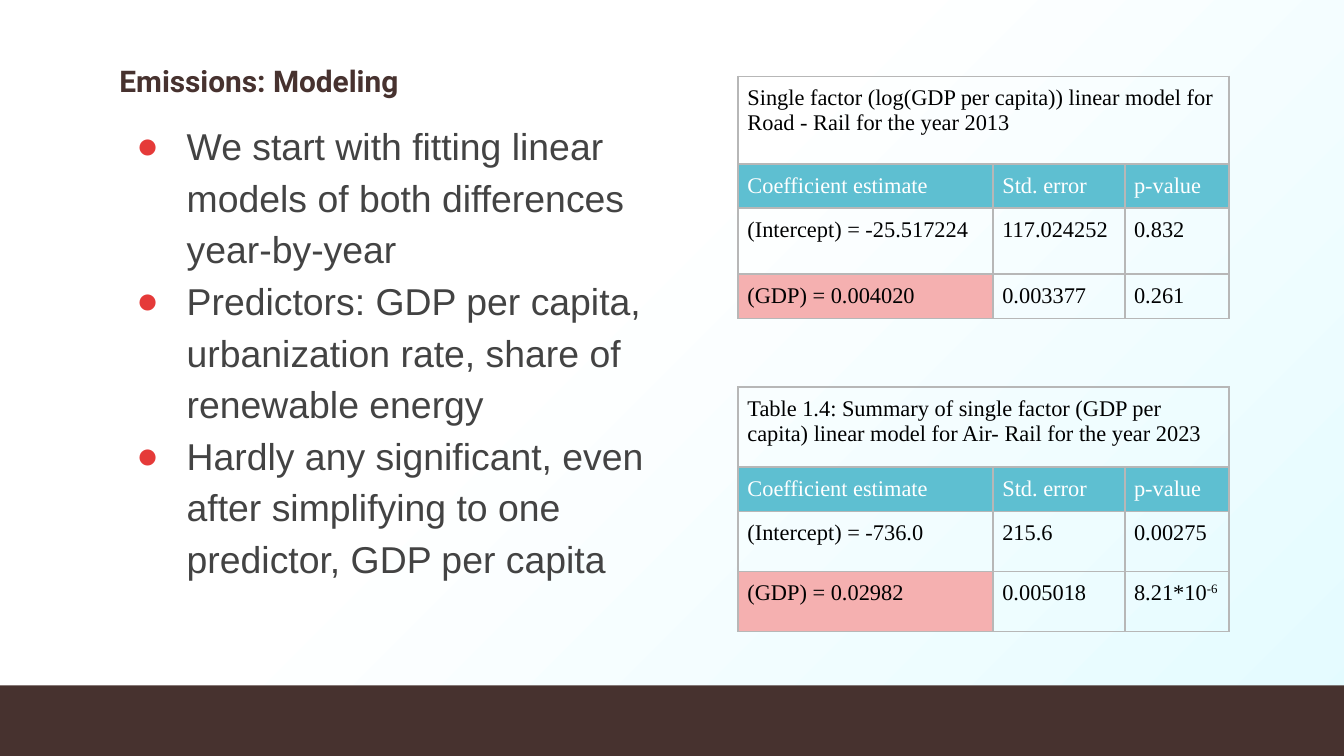
from copy import deepcopy

from lxml.etree import SubElement
from pptx import Presentation
from pptx.dml.color import RGBColor
from pptx.enum.shapes import MSO_SHAPE
from pptx.enum.text import MSO_ANCHOR, MSO_AUTO_SIZE, PP_ALIGN
from pptx.oxml.ns import qn
from pptx.util import Pt

TITLE = "Emissions: Modeling"
BULLETS = [
    "We start with fitting linear models of both differences year-by-year",
    "Predictors: GDP per capita, urbanization rate, share of renewable energy",
    "Hardly any significant, even after simplifying to one predictor, GDP per capita",
]
HEADER = ("Coefficient estimate", "Std. error", "p-value")
MODELS = [
    {
        "top": 41,
        "heights": (46.8, 23.8, 35.2, 23.8),
        "caption": "Single factor (log(GDP per capita)) linear model for Road - Rail for the year 2013",
        "rows": [("(Intercept) = -25.517224", "117.024252", "0.832"),
                 ("(GDP) = 0.004020", "0.003377", "0.261")],
    },
    {
        "top": 207.4,
        "heights": (42.8, 23.8, 32.2, 32.2),
        "caption": "Table 1.4: Summary of single factor (GDP per capita) linear model for Air- Rail for the year 2023",
        "rows": [("(Intercept) = -736.0", "215.6", "0.00275"),
                 ("(GDP) = 0.02982", "0.005018", ("8.21*10", "-6"))],
    },
]
TABLE_LEFT = 395.4
COLUMNS = (136.6, 70.6, 56)
DARK, RED, TEAL, PINK, GREY = "47322F", "E53A39", "5EBFD1", "F5B0B0", "B7B7B7"


def color(value):
    return RGBColor.from_string(value)


def add_text(p, text, font="Times New Roman", size=12, fill="000000", bold=False, baseline=None):
    r = p.add_run()
    r.text = text
    r.font.name = font
    r.font.size = Pt(size)
    r.font.bold = bold
    r.font.color.rgb = color(fill)
    if baseline:
        r._r.get_or_add_rPr().set("baseline", str(baseline * 1000))


def place(sp, left, top, width, height):
    sp.left, sp.top, sp.width, sp.height = Pt(left), Pt(top), Pt(width), Pt(height)
    tf = sp.text_frame
    tf.word_wrap = True
    tf.auto_size = MSO_AUTO_SIZE.NONE
    tf.vertical_anchor = MSO_ANCHOR.TOP
    tf.margin_left = tf.margin_right = tf.margin_top = tf.margin_bottom = Pt(7.2)
    return tf


def add_bullet(p):
    pPr = p._p.get_or_add_pPr()
    pPr.set("marL", str(Pt(36)))
    pPr.set("indent", str(-Pt(27)))
    SubElement(SubElement(pPr, qn("a:buClr")), qn("a:srgbClr"), val=RED)
    SubElement(pPr, qn("a:buFont"), typeface="Arial")
    SubElement(pPr, qn("a:buChar"), char="●")


def set_background(s):
    fill = s.background.fill
    fill.gradient()
    fill.gradient_angle = 315
    first = fill.gradient_stops[0]._gs
    first.addnext(deepcopy(first))
    for stop, (position, value) in zip(fill.gradient_stops, [(0, "FFFFFF"), (0.41, "FFFFFF"), (1, "E3FBFF")]):
        stop.position = position
        stop.color.rgb = color(value)


def format_cell(cell, fill):
    cell.margin_left = cell.margin_right = cell.margin_top = cell.margin_bottom = Pt(5)
    tcPr = cell._tc.get_or_add_tcPr()
    for side in ("lnL", "lnR", "lnT", "lnB"):
        ln = SubElement(tcPr, qn("a:" + side), w=str(Pt(1)))
        SubElement(SubElement(ln, qn("a:solidFill")), qn("a:srgbClr"), val=GREY)
    if fill:
        cell.fill.solid()
        cell.fill.fore_color.rgb = color(fill)
    else:
        cell.fill.background()


def add_model(s, model):
    rows = [(model["caption"], "", ""), HEADER, *model["rows"]]
    heights = model["heights"]
    frame = s.shapes.add_table(len(rows), len(COLUMNS), Pt(TABLE_LEFT), Pt(model["top"]),
                               Pt(sum(COLUMNS)), Pt(sum(heights)))
    table = frame.table
    table.first_row = table.horz_banding = False
    for column, width in zip(table.columns, COLUMNS):
        column.width = Pt(width)
    for i, (row, height) in enumerate(zip(rows, heights)):
        table.rows[i].height = Pt(height)
        for j, value in enumerate(row):
            cell = table.cell(i, j)
            format_cell(cell, TEAL if i == 1 else PINK if (i, j) == (3, 0) else None)
            if not value:
                continue
            text, power = value if isinstance(value, tuple) else (value, None)
            p = cell.text_frame.paragraphs[0]
            add_text(p, text, fill="FFFFFF" if i == 1 else "000000")
            if power:
                add_text(p, power, baseline=30)
    table.cell(0, 0).merge(table.cell(0, len(COLUMNS) - 1))


def main():
    prs = Presentation()
    prs.slide_width, prs.slide_height = Pt(720), Pt(405)
    s = prs.slides.add_slide(prs.slide_layouts[1])
    set_background(s)

    band = s.shapes.add_shape(MSO_SHAPE.RECTANGLE, Pt(-6), Pt(367.2), Pt(732), Pt(43))
    band.shadow.inherit = False
    band.fill.solid()
    band.fill.fore_color.rgb = color(DARK)
    band.line.fill.background()

    p = place(s.shapes.title, 56.8, 26.6, 607, 29.5).paragraphs[0]
    p.alignment = PP_ALIGN.LEFT
    add_text(p, TITLE, font="Roboto", size=16, fill=DARK, bold=True)

    tf = place(s.placeholders[1], 56.8, 55.4, 303, 304)
    for i, text in enumerate(BULLETS):
        p = tf.add_paragraph() if i else tf.paragraphs[0]
        p.line_spacing = 1.15
        p.space_before = Pt(0)
        add_bullet(p)
        add_text(p, text, font="Arial", size=20, fill="434343")

    for model in MODELS:
        add_model(s, model)
    prs.save("out.pptx")


if __name__ == "__main__":
    main()
